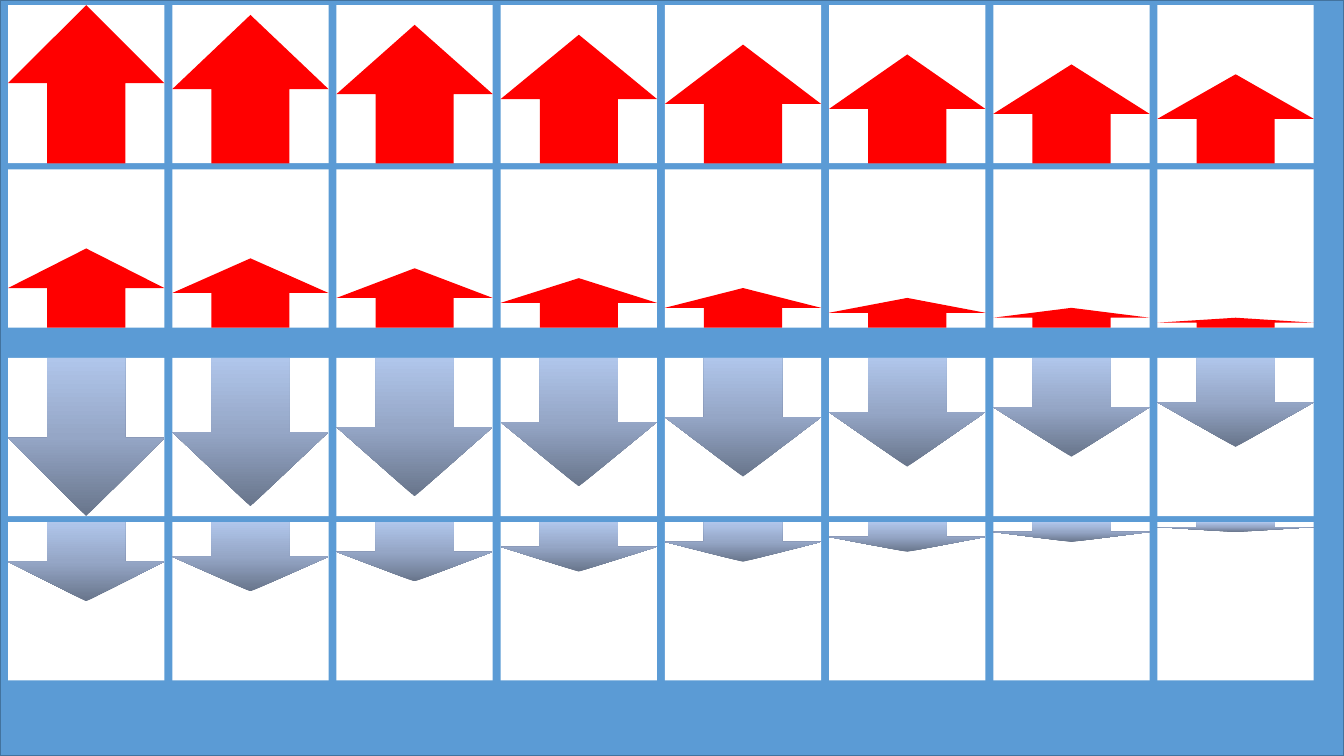
from copy import deepcopy
from dataclasses import dataclass

from pptx import Presentation
from pptx.dml.color import RGBColor
from pptx.enum.shapes import MSO_SHAPE
from pptx.oxml.ns import qn
from pptx.shapes.autoshape import Shape
from pptx.shapes.shapetree import SlideShapes
from pptx.util import Inches, Pt

RECTANGLE = MSO_SHAPE.RECTANGLE
DOWN_ARROW = MSO_SHAPE.DOWN_ARROW


@dataclass(frozen=True)
class Theme:
    backdrop: str = "5B9BD5"
    border: str = "43739E"
    border_width: float = 1
    tile: str = "FFFFFF"
    rising: str = "FF0000"
    falling: tuple[str, ...] = ("68758B", "95A6C6", "B0C6EB")


@dataclass(frozen=True)
class ArrowSeries:
    top: float
    points_up: bool
    colors: tuple[str, ...]


THEME = Theme()
SLIDE_WIDTH, SLIDE_HEIGHT = 13.33, 7.5

# Grid of tiles, in inches
COLUMNS, ROWS = 8, 2
STEPS = COLUMNS * ROWS
LEFT = 0.08
TILE_WIDTH, TILE_HEIGHT = 1.55, 1.57
COLUMN_PITCH = 11.4 / (COLUMNS - 1)
ROW_PITCH = 1.63

SERIES = (
    ArrowSeries(top=0.05, points_up=True, colors=(THEME.rising,)),
    ArrowSeries(top=3.55, points_up=False, colors=THEME.falling),
)


def paint_gradient(shape: Shape, colors: tuple[str, ...]) -> None:
    """Spread the colours evenly from the bottom to the top."""
    shape.fill.gradient()
    shape.fill.gradient_angle = 90
    stop_list = shape._element.spPr.find(qn("a:gradFill")).find(qn("a:gsLst"))
    while len(stop_list) < len(colors):
        stop_list.append(deepcopy(stop_list[-1]))
    for index, (stop, color) in enumerate(zip(shape.fill.gradient_stops, colors)):
        stop.position = index / (len(colors) - 1)
        stop.color.rgb = RGBColor.from_string(color)


def add_figure(shapes: SlideShapes, kind: MSO_SHAPE, left: float, top: float,
               width: float, height: float, colors: tuple[str, ...]) -> Shape:
    """Add a borderless shape with a solid or gradient fill."""
    figure = shapes.add_shape(kind, Inches(left), Inches(top), Inches(width), Inches(height))
    figure.shadow.inherit = False
    figure.line.fill.background()
    if len(colors) > 1:
        paint_gradient(figure, colors)
    else:
        figure.fill.solid()
        figure.fill.fore_color.rgb = RGBColor.from_string(colors[0])
    return figure


def add_backdrop(shapes: SlideShapes) -> None:
    backdrop = add_figure(shapes, RECTANGLE, 0, 0, SLIDE_WIDTH, SLIDE_HEIGHT, (THEME.backdrop,))
    backdrop.line.color.rgb = RGBColor.from_string(THEME.border)
    backdrop.line.width = Pt(THEME.border_width)


def add_series(shapes: SlideShapes, series: ArrowSeries) -> None:
    """Each arrow is one sixteenth of a tile shorter than the one before."""
    for step in range(STEPS):
        row, column = divmod(step, COLUMNS)
        left = LEFT + column * COLUMN_PITCH
        top = series.top + row * ROW_PITCH
        add_figure(shapes, RECTANGLE, left, top, TILE_WIDTH, TILE_HEIGHT, (THEME.tile,))

        height = TILE_HEIGHT * (1 - step / STEPS)
        arrow_top = top + TILE_HEIGHT - height if series.points_up else top
        arrow = add_figure(shapes, DOWN_ARROW, left, arrow_top, TILE_WIDTH, height, series.colors)
        arrow.rotation = 180 if series.points_up else 0


def main() -> None:
    presentation = Presentation()
    presentation.slide_width = Inches(SLIDE_WIDTH)
    presentation.slide_height = Inches(SLIDE_HEIGHT)
    slide = presentation.slides.add_slide(presentation.slide_layouts[6])
    add_backdrop(slide.shapes)
    for series in SERIES:
        add_series(slide.shapes, series)
    presentation.save("out.pptx")


if __name__ == "__main__":
    main()
